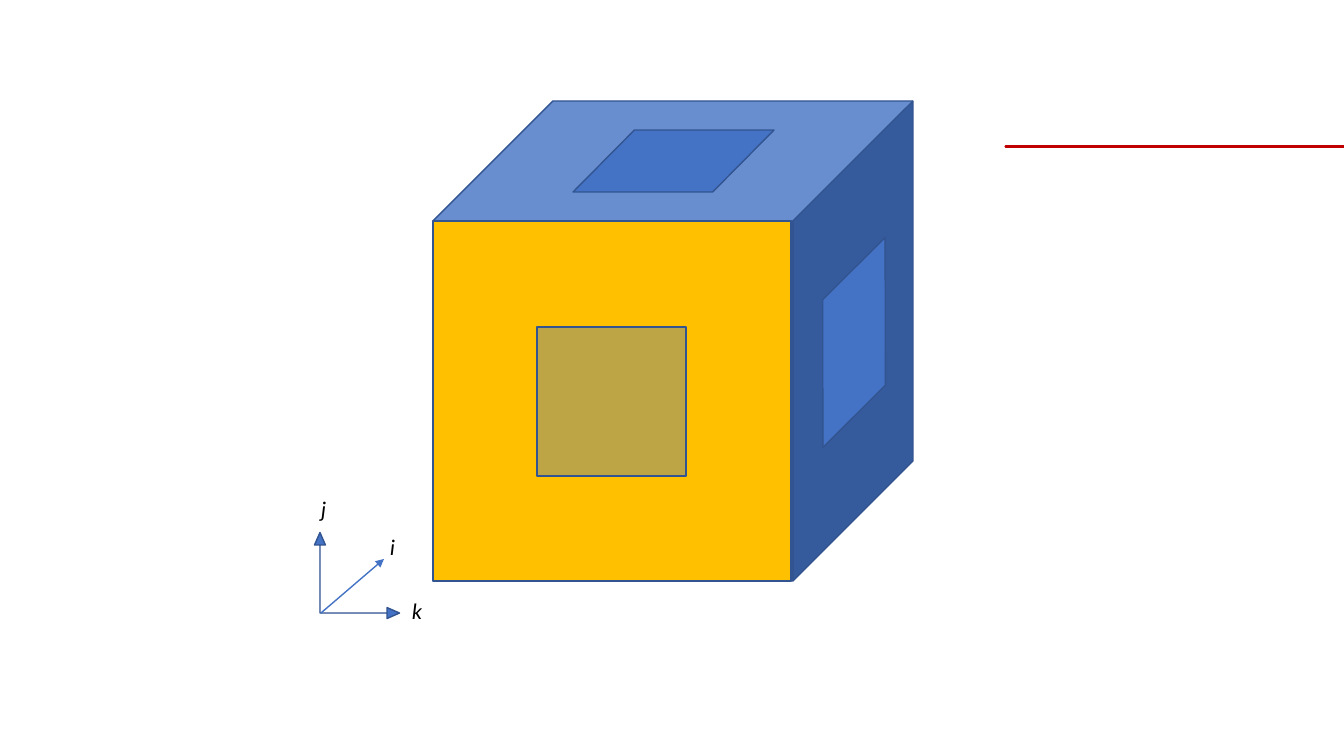
import dataclasses

import lxml.etree
import pptx
import pptx.dml.color
import pptx.enum.shapes
import pptx.oxml.ns
import pptx.util

EMU_PER_PX = 914400 / 100.8
SHAPE = pptx.enum.shapes.MSO_SHAPE


@dataclasses.dataclass(frozen=True)
class Theme:
    font: str = "Calibri"
    label_size: int = 16
    text: str = "000000"
    blue: str = "4472C4"
    outline: str = "325491"
    amber: str = "FFC000"
    red: str = "C00000"
    thin: float = 1
    thick: float = 1.5


def px(length):
    return pptx.util.Emu(round(length * EMU_PER_PX))


def rgb(value):
    return pptx.dml.color.RGBColor.from_string(value)


def add_xml(parent, tag, **attributes):
    return lxml.etree.SubElement(parent, pptx.oxml.ns.qn(tag), attributes)


class Canvas:
    def __init__(self, slide, theme):
        self.slide = slide
        self.theme = theme
        self.shapes = slide.shapes

    def begin_group(self):
        self.shapes = self.slide.shapes.add_group_shape().shapes

    def end_group(self):
        self.shapes = self.slide.shapes

    def shape(self, kind, box, fill=None, line=None, width=None,
              rotation=0, adjustments=(), opacity=None):
        shape = self.shapes.add_shape(kind, *map(px, box))
        shape.shadow.inherit = False
        shape.rotation = rotation
        for index, value in enumerate(adjustments):
            shape.adjustments[index] = value
        shape.fill.solid()
        shape.fill.fore_color.rgb = rgb(fill or self.theme.blue)
        shape.line.color.rgb = rgb(line or self.theme.outline)
        shape.line.width = pptx.util.Pt(width or self.theme.thin)
        if opacity is not None:
            color = shape.fill._xPr.find(".//" + pptx.oxml.ns.qn("a:srgbClr"))
            add_xml(color, "a:alpha", val=str(opacity * 1000))
        return shape

    def arrow(self, start, end):
        connector = self.shapes.add_connector(
            pptx.enum.shapes.MSO_CONNECTOR.STRAIGHT, *map(px, start + end))
        connector.line.color.rgb = rgb(self.theme.blue)
        connector.line.width = pptx.util.Pt(self.theme.thin)
        add_xml(connector.line._get_or_add_ln(), "a:tailEnd", type="triangle")
        add_xml(connector._element.spPr, "a:effectLst")

    def label(self, text, left, top):
        box = self.shapes.add_textbox(*map(px, (left, top, 29, 37)))
        box.text_frame.word_wrap = True
        box.text_frame.text = text
        font = box.text_frame.paragraphs[0].runs[0].font
        font.name = self.theme.font
        font.size = pptx.util.Pt(self.theme.label_size)
        font.italic = True
        font.color.rgb = rgb(self.theme.text)


def draw_axes(canvas):
    canvas.begin_group()
    canvas.shape(SHAPE.LEFT_UP_ARROW, (314, 533, 86, 85), rotation=90,
                 adjustments=(0, 0.064, 0.147))
    canvas.arrow((321, 613), (384, 559))
    for text, left, top in (("j", 311, 490), ("i", 380, 528), ("k", 402, 592)):
        canvas.label(text, left, top)
    canvas.end_group()


def draw_cube(canvas):
    canvas.begin_group()
    canvas.shape(SHAPE.CUBE, (433, 101, 480, 480))
    canvas.shape(SHAPE.RECTANGLE, (433, 221, 358, 360), canvas.theme.amber)
    canvas.shape(SHAPE.RECTANGLE, (537, 327, 149, 149), opacity=35)
    for box, rotation in (((573, 130, 201, 62), 180),
                          ((758, 290, 192, 105), 135.2)):
        canvas.shape(SHAPE.PARALLELOGRAM, box, rotation=rotation,
                     adjustments=(0.99,))
    canvas.end_group()


def main():
    presentation = pptx.Presentation()
    presentation.slide_width = px(1344)
    presentation.slide_height = px(756)
    slide = presentation.slides.add_slide(presentation.slide_layouts[6])
    theme = Theme()
    canvas = Canvas(slide, theme)
    draw_axes(canvas)
    draw_cube(canvas)
    canvas.shape(SHAPE.HALF_FRAME, (1006, 146, 360, 361), line=theme.red,
                 width=theme.thick, rotation=90, adjustments=(0, 0))
    presentation.save("out.pptx")


if __name__ == "__main__":
    main()
